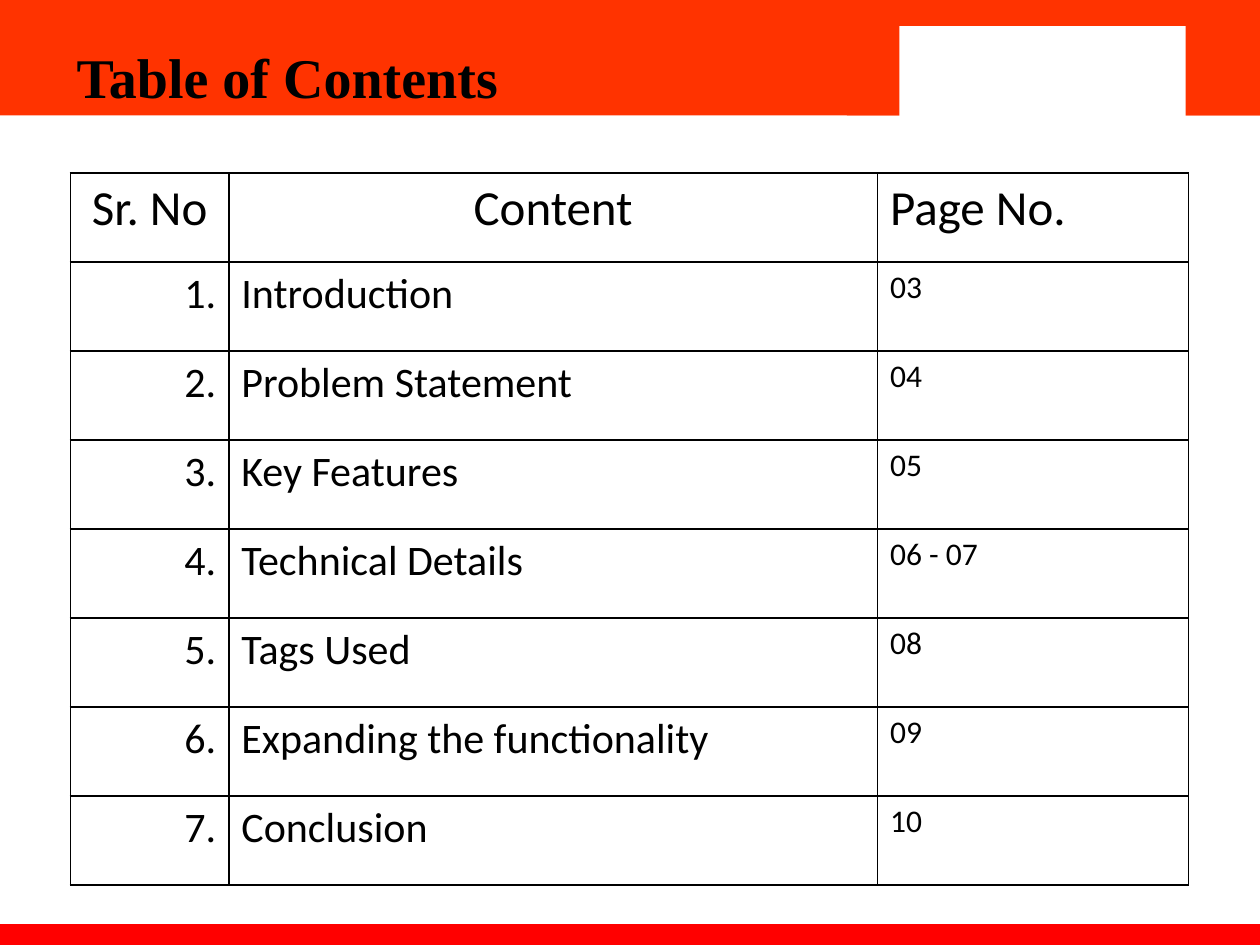
from pptx import Presentation
from pptx.dml.color import RGBColor
from pptx.enum.shapes import MSO_SHAPE
from pptx.enum.text import MSO_AUTO_SIZE, PP_ALIGN
from pptx.oxml import parse_xml
from pptx.oxml.ns import nsdecls
from pptx.util import Pt

BLACK = RGBColor(0x00, 0x00, 0x00)
WHITE = RGBColor(0xFF, 0xFF, 0xFF)
ORANGE = RGBColor(0xFF, 0x33, 0x00)
RED = RGBColor(0xFF, 0x00, 0x00)


def write_text(frame, text, size, font="Calibri", bold=False, align=PP_ALIGN.LEFT):
    paragraph = frame.paragraphs[0]
    paragraph.alignment = align
    run = paragraph.add_run()
    run.text = text
    run.font.size = Pt(size)
    run.font.name = font
    run.font.bold = bold
    run.font.color.rgb = BLACK


def add_borders(cell):
    properties = cell._tc.get_or_add_tcPr()
    for position, side in enumerate(("lnL", "lnR", "lnT", "lnB")):
        border = parse_xml(
            f'<a:{side} {nsdecls("a")} w="{Pt(1)}"><a:solidFill>'
            f'<a:srgbClr val="{BLACK}"/></a:solidFill></a:{side}>'
        )
        properties.insert(position, border)


presentation = Presentation()
presentation.slide_width = Pt(720)
presentation.slide_height = Pt(540)
slide = presentation.slides.add_slide(presentation.slide_layouts[6])

bands = [
    (0, 0, 720, 66, ORANGE),
    (0, 528, 720, 12, RED),
    (484, 0, 236, 66, ORANGE),
    (514, 15, 163.5, 54, WHITE),
]
for left, top, width, height, color in bands:
    shape = slide.shapes.add_shape(
        MSO_SHAPE.RECTANGLE, Pt(left), Pt(top), Pt(width), Pt(height)
    )
    shape.shadow.inherit = False
    shape.fill.solid()
    shape.fill.fore_color.rgb = color
    shape.line.fill.background()

title = slide.shapes.add_textbox(Pt(36.75), Pt(21), Pt(425.5), Pt(46))
title.text_frame.word_wrap = True
title.text_frame.auto_size = MSO_AUTO_SIZE.SHAPE_TO_FIT_TEXT
write_text(title.text_frame, "Table of Contents", 32, font="Times New Roman", bold=True)

headings = ("Sr. No", "Content", "Page No.")
entries = [
    ("Introduction", "03"),
    ("Problem Statement", "04"),
    ("Key Features", "05"),
    ("Technical Details", "06 - 07"),
    ("Tags Used", "08"),
    ("Expanding the functionality", "09"),
    ("Conclusion", "10"),
]
rows = [headings]
for number, (content, pages) in enumerate(entries, start=1):
    rows.append((f"{number}.", content, pages))

column_widths = (90.5, 370.75, 177.75)
row_height = 50.9
heading_alignments = (PP_ALIGN.CENTER, PP_ALIGN.CENTER, PP_ALIGN.LEFT)
entry_alignments = (PP_ALIGN.RIGHT, PP_ALIGN.LEFT, PP_ALIGN.LEFT)
entry_sizes = (24, 24, 18)

table = slide.shapes.add_table(
    len(rows), len(headings), Pt(40.25), Pt(98.75),
    Pt(sum(column_widths)), Pt(row_height * len(rows)),
).table
table.first_row = False
table.horz_banding = False
for column, width in zip(table.columns, column_widths):
    column.width = Pt(width)

for row_index, texts in enumerate(rows):
    table.rows[row_index].height = Pt(row_height)
    alignments = entry_alignments if row_index else heading_alignments
    sizes = entry_sizes if row_index else (28, 28, 28)
    for column_index, text in enumerate(texts):
        cell = table.cell(row_index, column_index)
        cell.fill.background()
        add_borders(cell)
        write_text(
            cell.text_frame, text, sizes[column_index], align=alignments[column_index]
        )

presentation.save("out.pptx")
